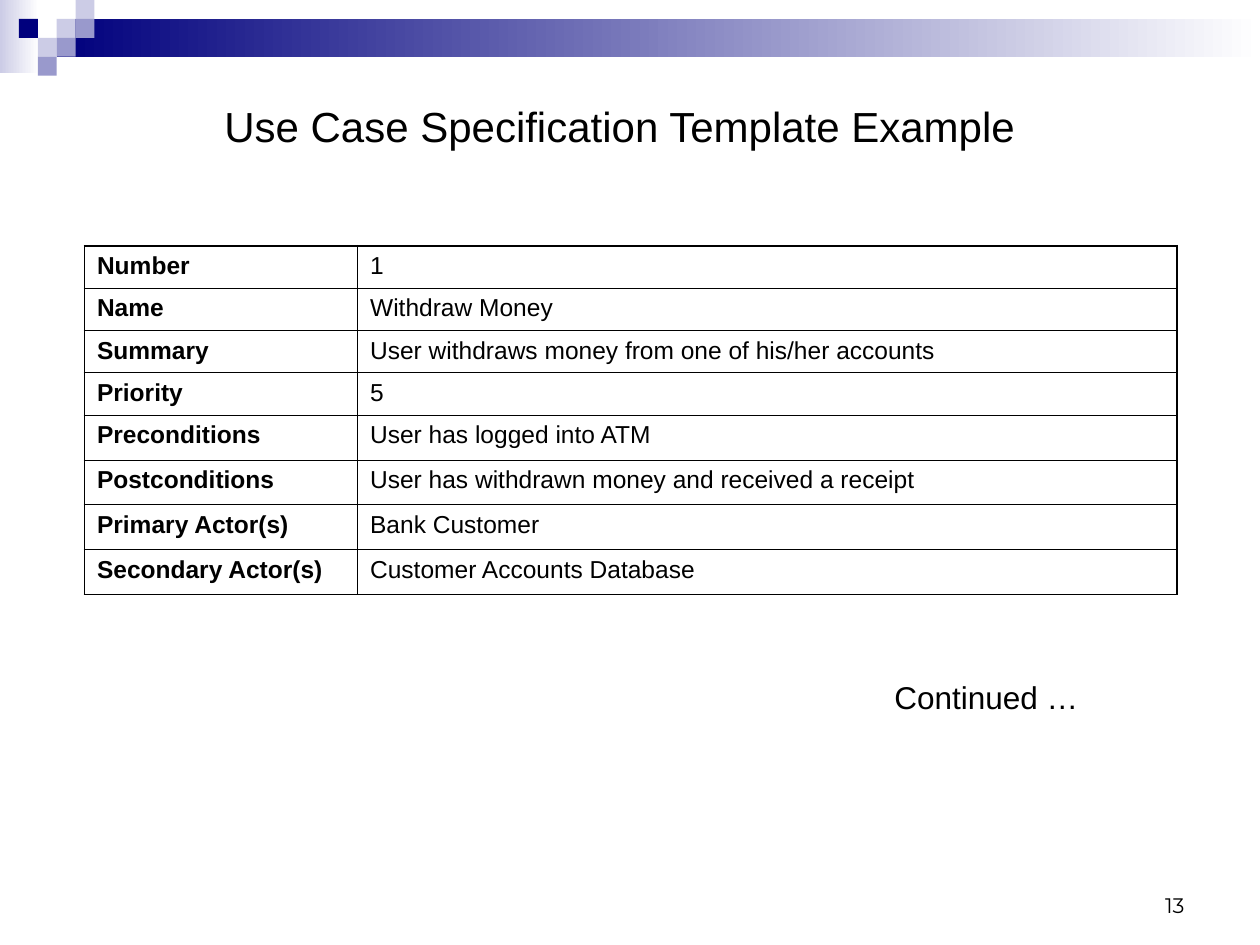
from dataclasses import dataclass
from typing import NamedTuple

from pptx import Presentation
from pptx.dml.color import RGBColor
from pptx.enum.shapes import MSO_SHAPE as Preset
from pptx.enum.text import MSO_ANCHOR as Anchor, MSO_AUTO_SIZE as AutoSize, PP_ALIGN as Align
from pptx.oxml.ns import qn
from pptx.util import Inches, Pt
from lxml.etree import SubElement


@dataclass(frozen=True)
class Theme:
    navy: str = "00007D"
    lavender: str = "9999CC"
    pale: str = "CCCCE6"
    white: str = "FFFFFF"
    ink: str = "000000"
    font: str = "Arial"
    number_font: str = "Montserrat"
    title_size: float = 24
    note_size: float = 18
    table_size: float = 14
    number_size: float = 12
    outer_line: float = 1.08
    inner_line: float = 0.45


class Box(NamedTuple):
    left: float
    top: float
    width: float
    height: float

    def emu(self) -> tuple:
        return tuple(Inches(length) for length in self)


class Square(NamedTuple):
    column: int
    row: int
    color: str


THEME = Theme()
SLIDE_WIDTH, SLIDE_HEIGHT = 10, 7.5
UNIT = SLIDE_HEIGHT / 50  # side of one corner square

SQUARES = [
    Square(3, 1, THEME.pale), Square(4, 0, THEME.pale), Square(4, 1, THEME.lavender),
    Square(2, 2, THEME.pale), Square(1, 1, THEME.navy), Square(3, 2, THEME.lavender),
    Square(2, 3, THEME.lavender),
]

TABLE_BOX = Box(0.67, 1.95, 8.67, 2.77)
COLUMN_SHARES = [0.25, 0.75]
ROW_WEIGHTS = [0.34] * 4 + [0.36] * 4
USE_CASE = [
    ("Number", "1"),
    ("Name", "Withdraw Money"),
    ("Summary", "User withdraws money from one of his/her accounts"),
    ("Priority", "5"),
    ("Preconditions", "User has logged into ATM"),
    ("Postconditions", "User has withdrawn money and received a receipt"),
    ("Primary Actor(s)", "Bank Customer"),
    ("Secondary Actor(s)", "Customer Accounts Database"),
]


def add_block(slide, box: Box, color: str, fade_to: str = "") -> None:
    """Add a borderless rectangle, plain or fading from left to right."""
    shape = slide.shapes.add_shape(Preset.RECTANGLE, *box.emu())
    shape.shadow.inherit = False
    shape.line.fill.background()
    if fade_to:
        shape.fill.gradient()
        shape.fill.gradient_angle = 0
        for stop, value in zip(shape.fill.gradient_stops, (color, fade_to)):
            stop.color.rgb = RGBColor.from_string(value)
    else:
        shape.fill.solid()
        shape.fill.fore_color.rgb = RGBColor.from_string(color)


def write_text(frame, text: str, size: float, font: str = THEME.font,
               bold: bool = False, align=Align.LEFT) -> None:
    paragraph = frame.paragraphs[0]
    paragraph.text = text
    paragraph.alignment = align
    values = {"name": font, "size": Pt(size), "bold": bold}
    for name, value in values.items():
        setattr(paragraph.font, name, value)
    paragraph.font.color.rgb = RGBColor.from_string(THEME.ink)


def format_frame(frame, **values) -> None:
    for name, value in values.items():
        setattr(frame, name, value)


def add_label(slide, box: Box, text: str, size: float, anchor=Anchor.TOP, **style) -> None:
    frame = slide.shapes.add_textbox(*box.emu()).text_frame
    format_frame(frame, word_wrap=True, vertical_anchor=anchor)
    write_text(frame, text, size, **style)


def set_borders(cell, outer_sides: dict[str, bool]) -> None:
    """Draw the four cell borders, heavier on the table's outer edge."""
    properties = cell._tc.get_or_add_tcPr()
    for side, outer in outer_sides.items():
        width = THEME.outer_line if outer else THEME.inner_line
        line = SubElement(properties, qn(f"a:ln{side}"), w=str(Pt(width)))
        fill = SubElement(line, qn("a:solidFill"))
        SubElement(fill, qn("a:srgbClr"), val=THEME.ink)


def add_use_case_table(slide) -> None:
    last_row, last_column = len(USE_CASE) - 1, len(COLUMN_SHARES) - 1
    table = slide.shapes.add_table(last_row + 1, last_column + 1, *TABLE_BOX.emu()).table
    table.first_row = table.horz_banding = False
    for column, share in zip(table.columns, COLUMN_SHARES):
        column.width = Inches(TABLE_BOX.width * share)
    for row, weight in zip(table.rows, ROW_WEIGHTS):
        row.height = Inches(TABLE_BOX.height * weight / sum(ROW_WEIGHTS))
    for r, entries in enumerate(USE_CASE):
        for c, text in enumerate(entries):
            cell = table.cell(r, c)
            write_text(cell.text_frame, text, THEME.table_size, bold=c == 0)
            set_borders(cell, {"L": c == 0, "R": c == last_column,
                               "T": r == 0, "B": r == last_row})
            cell.fill.background()


def main() -> None:
    presentation = Presentation()
    presentation.slide_width = Inches(SLIDE_WIDTH)
    presentation.slide_height = Inches(SLIDE_HEIGHT)
    slide = presentation.slides.add_slide(presentation.slide_layouts[5])

    # Corner decoration
    add_block(slide, Box(0, 0, 0.31, 0.58), THEME.pale, THEME.white)
    add_block(slide, Box(3 * UNIT, UNIT, SLIDE_WIDTH - 3 * UNIT, 2 * UNIT),
              THEME.navy, THEME.white)
    for square in SQUARES:
        add_block(slide, Box(square.column * UNIT, square.row * UNIT, UNIT, UNIT), square.color)

    # Title
    title = slide.shapes.title
    title.left, title.top, title.width, title.height = Box(1.68, 0.75, 6.52, 0.5).emu()
    format_frame(title.text_frame, word_wrap=False, vertical_anchor=Anchor.TOP,
                 auto_size=AutoSize.SHAPE_TO_FIT_TEXT)
    write_text(title.text_frame, "Use Case Specification Template Example", THEME.title_size)

    # Use case table
    add_use_case_table(slide)

    # Continuation note and page number
    add_label(slide, Box(7, 5.33, 1.75, 0.4), "Continued …", THEME.note_size)
    add_label(slide, Box(7.17, 6.83, 2.33, 0.5), "13", THEME.number_size, Anchor.BOTTOM,
              font=THEME.number_font, align=Align.RIGHT)

    presentation.save("out.pptx")


if __name__ == "__main__":
    main()
